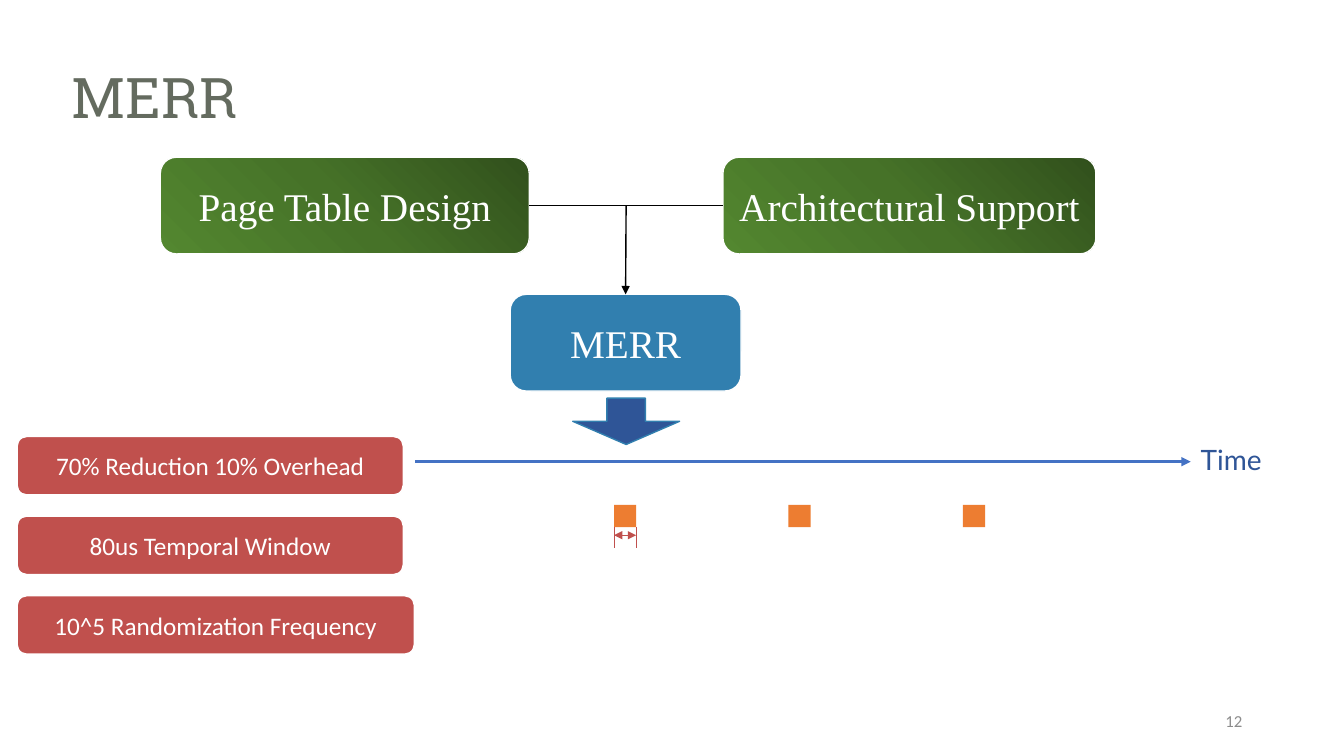
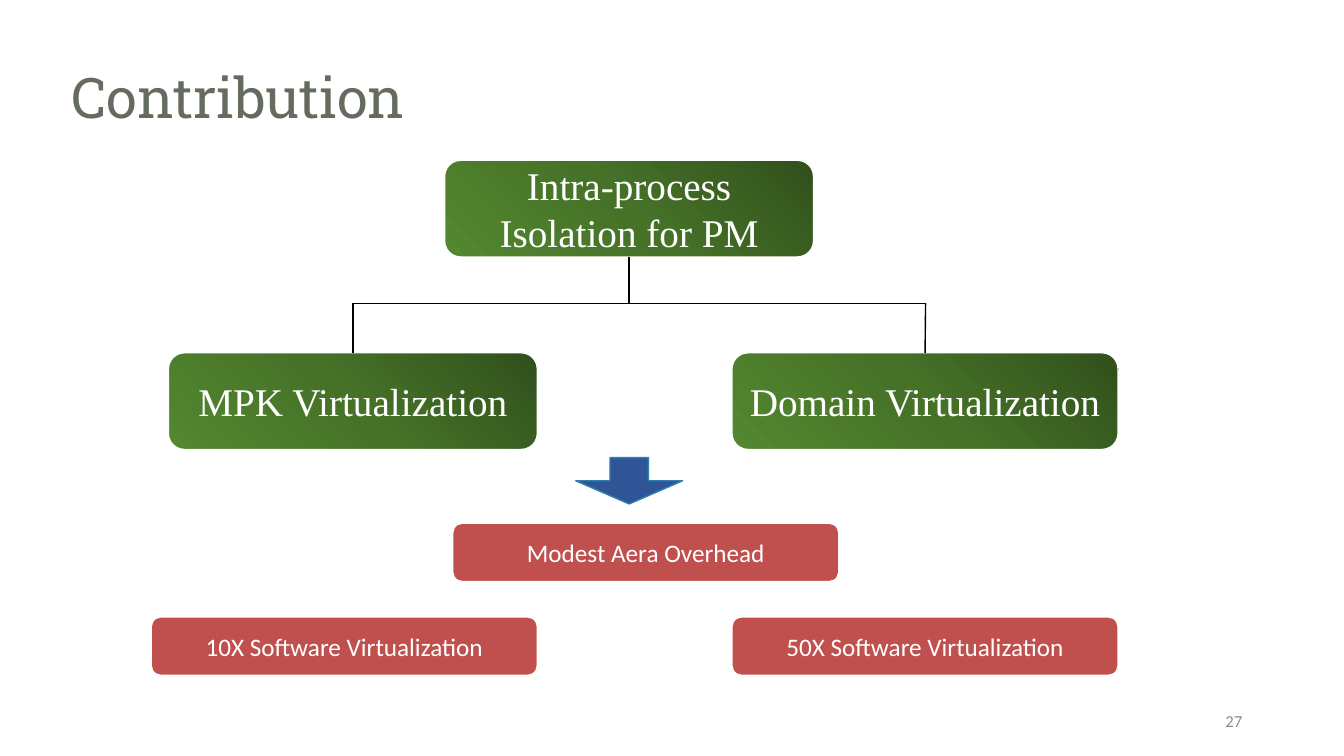
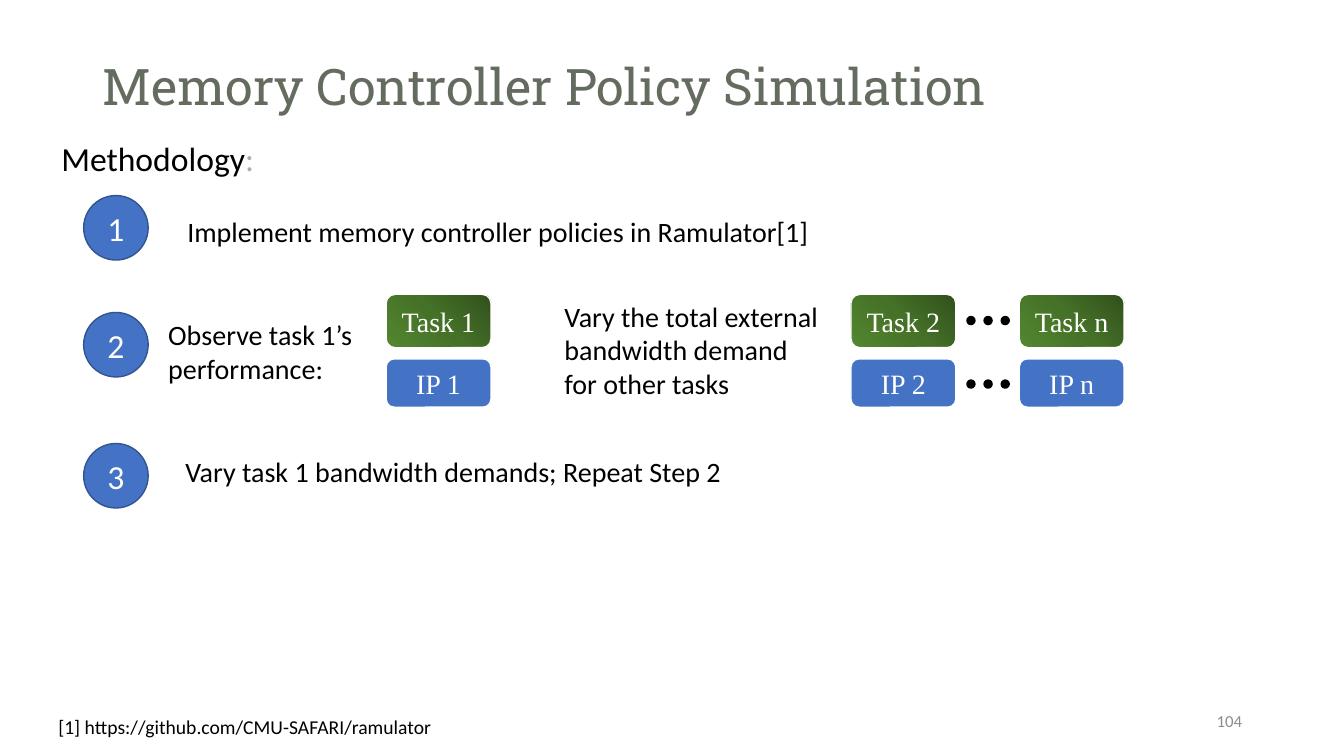
import dataclasses
import typing

import pptx
import pptx.dml.color
import pptx.enum.shapes
import pptx.enum.text
import pptx.oxml
import pptx.oxml.ns
import pptx.presentation
import pptx.shapes.autoshape
import pptx.shapes.connector
import pptx.slide
import pptx.text.text
import pptx.util

EMU_PER_PX = 9144
SHAPE = pptx.enum.shapes.MSO_SHAPE
ALIGN = pptx.enum.text.PP_ALIGN
ANCHOR = pptx.enum.text.MSO_ANCHOR
TOP, LEFT, BOTTOM, RIGHT = range(4)


class Box(typing.NamedTuple):
    left: int
    top: int
    width: int
    height: int


class Point(typing.NamedTuple):
    x: int
    y: int


class Joint(typing.NamedTuple):
    shape: pptx.shapes.autoshape.Shape
    side: int


End = typing.Union[Point, Joint]


@dataclasses.dataclass(frozen=True)
class TextStyle:
    font: str
    size: int
    color: str
    align: ALIGN = ALIGN.LEFT
    anchor: ANCHOR = ANCHOR.TOP
    line_spacing: float = 1.0


@dataclasses.dataclass(frozen=True)
class ShapeStyle:
    preset: SHAPE
    fill: typing.Union[str, typing.Tuple[str, ...]]
    line: typing.Optional[str] = None
    text: typing.Optional[TextStyle] = None


@dataclasses.dataclass(frozen=True)
class LineStyle:
    color: str
    width: float
    arrows: typing.Tuple[str, ...] = ()


def centred(font: str, size: int) -> TextStyle:
    return TextStyle(font, size, "FFFFFF", ALIGN.CENTER, ANCHOR.MIDDLE)


@dataclasses.dataclass(frozen=True)
class Theme:
    white: str = "FFFFFF"
    black: str = "000000"
    blue: str = "4472C4"
    navy: str = "2F5597"
    teal: str = "317FAF"
    red: str = "C0504D"
    orange: str = "ED7D31"
    outline: str = "325491"
    pale_gray: str = "AFABAB"
    greens: typing.Tuple[str, ...] = ("31501C", "467228", "538730")
    title: TextStyle = TextStyle("Roboto Slab", 40, "646B5F", anchor=ANCHOR.MIDDLE, line_spacing=0.9)
    small_title: TextStyle = dataclasses.replace(title, size=36)
    number: TextStyle = TextStyle("Calibri", 12, "8C8C8C", ALIGN.RIGHT, ANCHOR.MIDDLE)
    heading: TextStyle = TextStyle("Calibri", 24, black, line_spacing=0.9)
    body: TextStyle = TextStyle("Calibri", 20, black)
    reference: TextStyle = TextStyle("Calibri", 14, black)
    axis: TextStyle = TextStyle("Lato", 20, navy, line_spacing=0.9)
    block_text: TextStyle = centred("Times New Roman", 28)
    tile_text: TextStyle = centred("Times New Roman", 20)
    result_text: TextStyle = centred("Calibri", 18)
    step_text: TextStyle = centred("Calibri", 24)


THEME = Theme()
BLOCK = ShapeStyle(SHAPE.ROUNDED_RECTANGLE, THEME.greens, THEME.white, THEME.block_text)
CORE = dataclasses.replace(BLOCK, fill=THEME.teal)
RESULT = dataclasses.replace(BLOCK, fill=THEME.red, text=THEME.result_text)
TASK = dataclasses.replace(BLOCK, text=THEME.tile_text)
PROCESSOR = dataclasses.replace(TASK, fill=THEME.blue)
STEP = ShapeStyle(SHAPE.FLOWCHART_CONNECTOR, THEME.blue, THEME.outline, THEME.step_text)
DOT = ShapeStyle(SHAPE.OVAL, THEME.black, THEME.black)
WINDOW = ShapeStyle(SHAPE.RECTANGLE, THEME.orange)
ARROW = ShapeStyle(SHAPE.RIGHT_ARROW, THEME.navy, THEME.teal)

LINK = LineStyle(THEME.black, 1)
LINK_ARROW = LineStyle(THEME.black, 1, ("tailEnd",))
TIME_AXIS = LineStyle(THEME.blue, 2.25, ("tailEnd",))
MARK = LineStyle(THEME.red, 0.5)
SPAN = LineStyle(THEME.red, 0.5, ("headEnd", "tailEnd"))

TITLE_BOX = Box(61, 60, 1212, 80)
NUMBER_BOX = Box(942, 695, 300, 40)


def px(length: float) -> int:
    return pptx.util.Emu(round(length * EMU_PER_PX))


def emu(lengths: typing.Iterable[int]) -> typing.List[int]:
    return [px(length) for length in lengths]


def rgb(color: str) -> pptx.dml.color.RGBColor:
    return pptx.dml.color.RGBColor.from_string(color)


def set_format(target: object, values: typing.Dict[str, object]) -> None:
    for name, value in values.items():
        setattr(target, name, value)


def add_run(paragraph: pptx.text.text._Paragraph, text: str, style: TextStyle) -> None:
    run = paragraph.add_run()
    run.text = text
    set_format(run.font, {"name": style.font, "size": pptx.util.Pt(style.size)})
    run.font.color.rgb = rgb(style.color)


def write(frame: pptx.text.text.TextFrame, text: str, style: TextStyle) -> None:
    set_format(frame, {
        "word_wrap": True,
        "auto_size": pptx.enum.text.MSO_AUTO_SIZE.NONE,
        "vertical_anchor": style.anchor,
    })
    for index, line in enumerate(text.split("\n")):
        paragraph = frame.add_paragraph() if index else frame.paragraphs[0]
        set_format(paragraph, {"alignment": style.align, "line_spacing": style.line_spacing})
        add_run(paragraph, line, style)


def add_text(slide: pptx.slide.Slide, box: Box, text: str, style: TextStyle) -> pptx.text.text.TextFrame:
    frame = slide.shapes.add_textbox(*emu(box)).text_frame
    write(frame, text, style)
    return frame


def fill_gradient(shape: pptx.shapes.autoshape.Shape, colors: typing.Sequence[str]) -> None:
    shape.fill.background()
    step = 100000 // (len(colors) - 1)
    stops = "".join(
        f'<a:gs pos="{index * step}"><a:srgbClr val="{color}"/></a:gs>'
        for index, color in enumerate(colors)
    )
    gradient = pptx.oxml.parse_xml(
        f'<a:gradFill {pptx.oxml.ns.nsdecls("a")} rotWithShape="1"><a:gsLst>{stops}</a:gsLst>'
        '<a:path path="circle"><a:fillToRect l="100000" b="100000"/></a:path></a:gradFill>'
    )
    properties = shape.element.spPr
    properties.replace(properties.find(pptx.oxml.ns.qn("a:noFill")), gradient)


def add_shape(
    slide: pptx.slide.Slide, box: Box, style: ShapeStyle, text: str = ""
) -> pptx.shapes.autoshape.Shape:
    shape = slide.shapes.add_shape(style.preset, *emu(box))
    shape.shadow.inherit = False
    if isinstance(style.fill, tuple):
        fill_gradient(shape, style.fill)
    else:
        shape.fill.solid()
        shape.fill.fore_color.rgb = rgb(style.fill)
    if style.line:
        shape.line.color.rgb = rgb(style.line)
        shape.line.width = pptx.util.Pt(1)
    else:
        shape.line.fill.background()
    if text and style.text:
        write(shape.text_frame, text, style.text)
    return shape


def add_down_arrow(slide: pptx.slide.Slide, box: Box) -> None:
    arrow = add_shape(slide, box, ARROW)
    arrow.rotation = 90
    arrow.adjustments[0] = 0.36


def add_line(slide: pptx.slide.Slide, begin: End, end: End, style: LineStyle) -> None:
    points = [end_point if isinstance(end_point, Point) else Point(0, 0) for end_point in (begin, end)]
    connector = slide.shapes.add_connector(
        pptx.enum.shapes.MSO_CONNECTOR.STRAIGHT, *emu(points[0]), *emu(points[1])
    )
    if isinstance(begin, Joint):
        connector.begin_connect(*begin)
    if isinstance(end, Joint):
        connector.end_connect(*end)
    connector.line.color.rgb = rgb(style.color)
    connector.line.width = pptx.util.Pt(style.width)
    properties = connector.element.spPr
    outline = properties.find(pptx.oxml.ns.qn("a:ln"))
    for arrow in style.arrows:
        outline.append(pptx.oxml.parse_xml(f'<a:{arrow} {pptx.oxml.ns.nsdecls("a")} type="triangle"/>'))
    properties.append(pptx.oxml.parse_xml(f'<a:effectLst {pptx.oxml.ns.nsdecls("a")}/>'))


def add_slide(
    presentation: pptx.presentation.Presentation,
    title: str,
    number: int,
    box: Box = TITLE_BOX,
    style: TextStyle = THEME.title,
) -> pptx.slide.Slide:
    slide = presentation.slides.add_slide(presentation.slide_layouts.get_by_name("Title Only"))
    set_format(slide.shapes.title, dict(zip(Box._fields, emu(box))))
    write(slide.shapes.title.text_frame, title, style)
    add_text(slide, NUMBER_BOX, str(number), THEME.number)
    return slide


def build_merr(presentation: pptx.presentation.Presentation) -> None:
    slide = add_slide(presentation, "MERR", 12)
    support = add_shape(slide, Box(717, 156, 370, 96), BLOCK, "Architectural Support")
    merr = add_shape(slide, Box(506, 292, 229, 96), CORE, "MERR")
    design = add_shape(slide, Box(159, 156, 366, 96), BLOCK, "Page Table Design")
    add_line(slide, Joint(design, RIGHT), Joint(support, LEFT), LINK)
    add_line(slide, Point(621, 204), Joint(merr, TOP), LINK_ARROW)
    add_down_arrow(slide, Box(598, 365, 46, 106))

    add_text(slide, Box(1181, 438, 152, 48), "Time", THEME.axis)
    add_line(slide, Point(412, 458), Point(1181, 458), TIME_AXIS)
    results = (
        ("70% Reduction 10% Overhead", 383),
        ("80us Temporal Window", 383),
        ("10^5 Randomization Frequency", 394),
    )
    for index, (text, width) in enumerate(results):
        add_shape(slide, Box(17, 433 + 79 * index, width, 58), RESULT, text)

    window = Box(609, 501, 22, 22)
    for index in range(3):
        add_shape(slide, window._replace(left=window.left + 173 * index), WINDOW)
    edges = (window.left, window.left + window.width)
    add_line(slide, Point(edges[0], 531), Point(edges[1], 531), SPAN)
    for edge in edges:
        add_line(slide, Point(edge, 523), Point(edge, 544), MARK)


def build_contribution(presentation: pptx.presentation.Presentation) -> None:
    slide = add_slide(presentation, "Contribution", 27)
    isolation = add_shape(slide, Box(441, 159, 366, 96), BLOCK, "Intra-process Isolation for PM")
    domain = add_shape(slide, Box(726, 350, 383, 96), BLOCK, "Domain Virtualization")
    keys = add_shape(slide, Box(167, 350, 366, 96), BLOCK, "MPK Virtualization")
    add_down_arrow(slide, Box(601, 424, 46, 106))
    results = (
        ("Modest Aera Overhead", 449, 519),
        ("10X Software Virtualization", 150, 612),
        ("50X Software Virtualization", 726, 612),
    )
    for text, left, top in results:
        add_shape(slide, Box(left, top, 383, 58), RESULT, text)

    branch = 301
    add_line(slide, Point(350, branch), Point(918, branch), LINK)
    add_line(slide, Point(624, branch), Joint(isolation, BOTTOM), LINK)
    for child, x in ((keys, 350), (domain, 918)):
        add_line(slide, Joint(child, TOP), Point(x, branch), LINK)


def build_simulation(presentation: pptx.presentation.Presentation) -> None:
    slide = add_slide(
        presentation, "Memory Controller Policy Simulation", 104, Box(92, 40, 1150, 96), THEME.small_title
    )
    heading = add_text(slide, Box(51, 136, 1232, 51), "Methodology", THEME.heading)
    add_run(heading.paragraphs[0], ":", dataclasses.replace(THEME.heading, color=THEME.pale_gray))

    for number, top in enumerate((194, 310, 440), start=1):
        add_shape(slide, Box(83, top, 64, 64), STEP, str(number))
    notes = (
        (Box(176, 208, 824, 44), "Implement memory controller policies in Ramulator[1]"),
        (Box(157, 310, 214, 77), "Observe task 1’s\nperformance:"),
        (Box(550, 292, 273, 111), "Vary the total external bandwidth demand for other tasks"),
        (Box(174, 446, 583, 44), "Vary task 1 bandwidth demands; Repeat Step 2"),
    )
    for box, text in notes:
        add_text(slide, box, text, THEME.body)

    for label, left in (("1", 383), ("2", 844), ("n", 1011)):
        add_shape(slide, Box(left, 292, 104, 53), TASK, f"Task {label}")
        add_shape(slide, Box(left, 356, 104, 48), PROCESSOR, f"IP {label}")
    for top in (314, 377):
        for index in range(3):
            add_shape(slide, Box(959 + 17 * index, top, 8, 8), DOT)

    add_text(
        slide, Box(48, 704, 1233, 34), "[1] https://github.com/CMU-SAFARI/ramulator", THEME.reference
    )


def main() -> None:
    presentation = pptx.Presentation()
    set_format(presentation, {"slide_width": px(1333), "slide_height": px(750)})
    for build in (build_merr, build_contribution, build_simulation):
        build(presentation)
    presentation.save("out.pptx")


if __name__ == "__main__":
    main()
